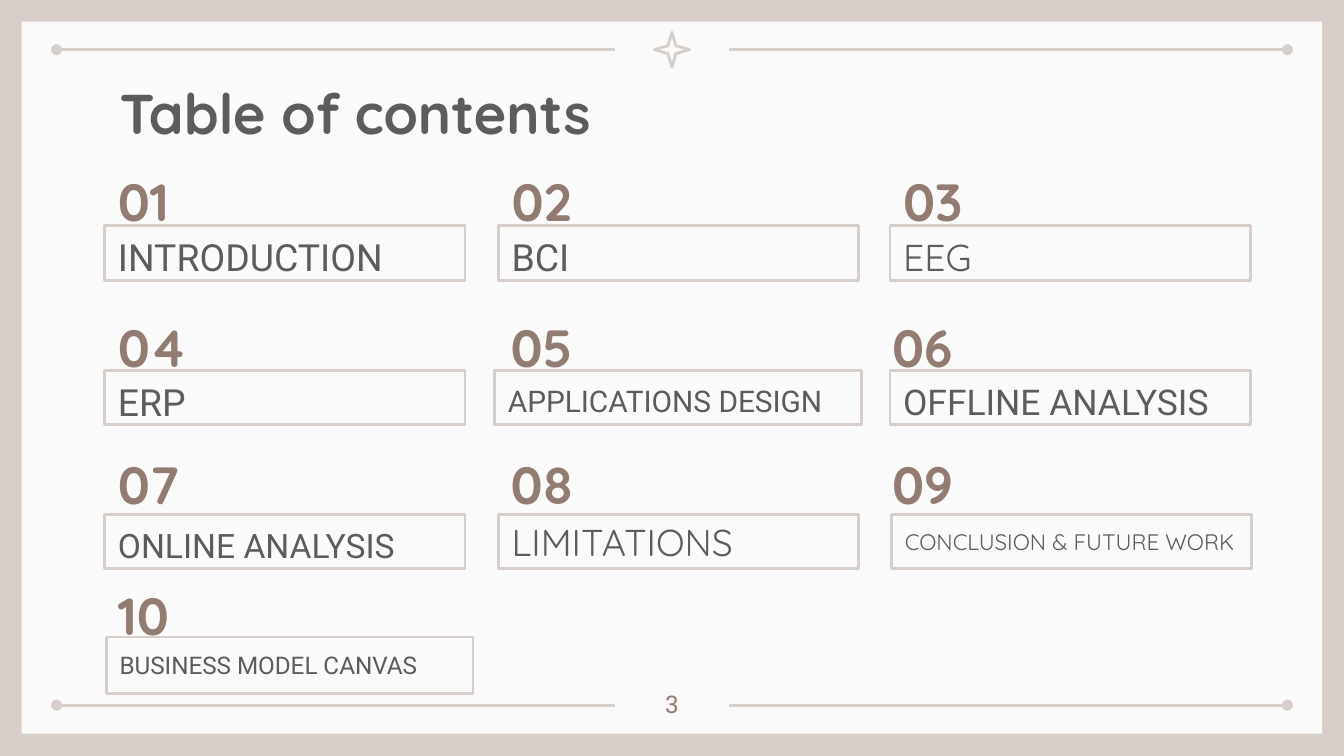
from lxml.etree import SubElement
from pptx import Presentation
from pptx.dml.color import RGBColor
from pptx.enum.shapes import MSO_CONNECTOR, MSO_SHAPE
from pptx.enum.text import MSO_ANCHOR, PP_ALIGN
from pptx.oxml.ns import qn
from pptx.util import Cm, Pt

COLORS = {"frame": "D8CEC9", "page": "FAFAFA", "text": "5C5C5F", "number": "927C71"}


def color(key):
    return RGBColor.from_string(COLORS[key])


def write(shape, text, size, font, ink, bold=False, spacing=1.0,
          anchor=MSO_ANCHOR.MIDDLE, align=PP_ALIGN.LEFT):
    frame = shape.text_frame
    frame.word_wrap = True
    frame.vertical_anchor = anchor
    frame.margin_left = frame.margin_right = Cm(0.25)
    frame.margin_top = frame.margin_bottom = Cm(0.25)
    paragraph = frame.paragraphs[0]
    paragraph.text = text
    paragraph.alignment = align
    paragraph.line_spacing = spacing
    paragraph.font.size = Pt(size)
    paragraph.font.name = font
    paragraph.font.bold = bold
    paragraph.font.color.rgb = color(ink)


prs = Presentation()
prs.slide_width, prs.slide_height = Cm(25.4), Cm(14.29)
slide = prs.slides.add_slide(prs.slide_layouts[6])
shapes = slide.shapes

# Background and page
slide.background.fill.solid()
slide.background.fill.fore_color.rgb = color("frame")
page = shapes.add_shape(MSO_SHAPE.RECTANGLE, Cm(0.41), Cm(0.41), Cm(24.58), Cm(13.46))
page.shadow.inherit = False
page.fill.solid()
page.fill.fore_color.rgb = color("page")
page.line.fill.background()

# Rules with a dot at the outer end
for y in (0.94, 13.33):
    for start, end, dot in ((1.07, 11.63, "a:headEnd"), (13.77, 24.33, "a:tailEnd")):
        rule = shapes.add_connector(MSO_CONNECTOR.STRAIGHT, Cm(start), Cm(y), Cm(end), Cm(y))
        rule.line.color.rgb = color("frame")
        rule.line.width = Pt(1.5)
        SubElement(rule.line._get_or_add_ln(), qn(dot), type="oval")
        SubElement(rule._element.spPr, qn("a:effectLst"))

# Star between the top rules
star = shapes.add_shape(MSO_SHAPE.STAR_4_POINT, Cm(12.37), Cm(0.61), Cm(0.66), Cm(0.66))
star.adjustments[0] = 0.16
star.shadow.inherit = False
star.fill.background()
star.line.color.rgb = color("frame")
star.line.width = Pt(1.5)

# Title and page number
title = shapes.add_textbox(Cm(2.01), Cm(1.24), Cm(21.41), Cm(1.6))
write(title, "Table of contents", 30, "Quicksand", "text", bold=True, anchor=MSO_ANCHOR.TOP)
page_number = shapes.add_textbox(Cm(11.94), Cm(12.78), Cm(1.52), Cm(0.91))
write(page_number, "3", 13, "Roboto", "number", anchor=MSO_ANCHOR.TOP, align=PP_ALIGN.CENTER)

# Rows: number top, box top, box height
ROWS = [(3.18, 4.27, 1.04), (5.94, 7.01, 1.02), (8.53, 9.73, 1.02), (11, 12.04, 1.07)]
# Sections: label, size, font, line spacing, number left, box left, box width
SECTIONS = [
    ("INTRODUCTION", 20, "Roboto", 1.15, 1.98, 1.98, 6.81),
    ("BCI", 20, "Roboto", 1.15, 9.42, 9.42, 6.81),
    ("EEG", 20, "Quicksand", 1.15, 16.82, 16.82, 6.81),
    ("ERP", 20, "Roboto", 1.15, 1.98, 1.98, 6.81),
    ("APPLICATIONS DESIGN", 16, "Roboto", 1.15, 9.4, 9.35, 6.93),
    ("OFFLINE ANALYSIS", 19, "Roboto", 1.15, 16.61, 16.82, 6.81),
    ("ONLINE ANALYSIS", 18, "Roboto", 1.15, 1.98, 1.98, 6.81),
    ("LIMITATIONS", 20, "Quicksand", 1.0, 9.4, 9.42, 6.81),
    ("CONCLUSION & FUTURE WORK", 12, "Quicksand", 1.0, 16.61, 16.85, 6.81),
    ("BUSINESS MODEL CANVAS", 13, "Roboto", 1.0, 1.98, 2.01, 6.93),
]

# Numbered sections, three to a row
for index, (label, size, font, spacing, number_left, box_left, width) in enumerate(SECTIONS):
    number_top, box_top, height = ROWS[index // 3]
    number = shapes.add_textbox(Cm(number_left), Cm(number_top), Cm(1.85), Cm(1.04))
    write(number, f"{index + 1:02d}", 28, "Quicksand", "number", bold=True, spacing=1.15)

    section = shapes.add_shape(MSO_SHAPE.RECTANGLE, Cm(box_left), Cm(box_top), Cm(width), Cm(height))
    section.shadow.inherit = False
    section.fill.background()
    section.line.color.rgb = color("frame")
    section.line.width = Pt(1.5)
    write(section, label, size, font, "text", spacing=spacing)

prs.save("out.pptx")
